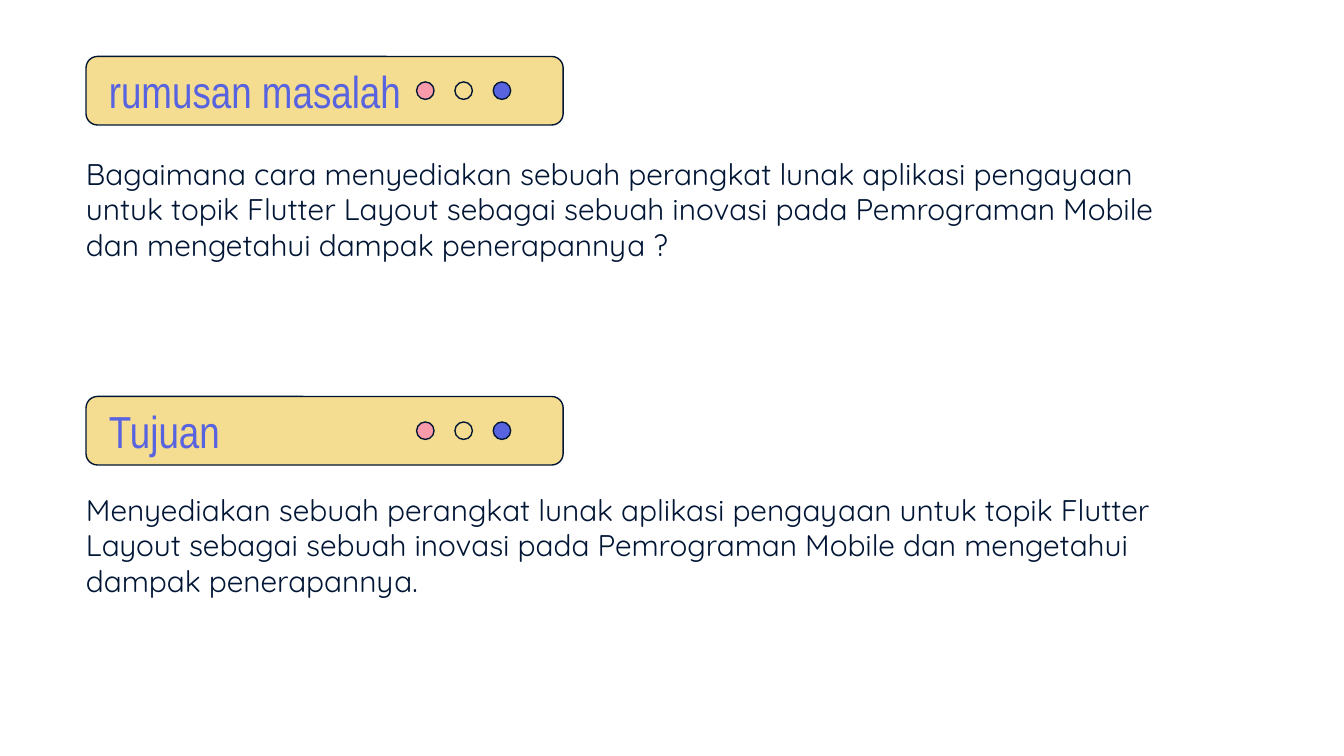
import pptx
import pptx.util
import pptx.dml.color
import pptx.enum.shapes
import pptx.enum.text

COLORS = {
    "ink": "011635",
    "yellow": "F4DC90",
    "blue": "5863E0",
    "pink": "F99AAA",
}
SECTIONS = [
    ("rumusan masalah",
     "Bagaimana cara menyediakan sebuah perangkat lunak aplikasi pengayaan "
     "untuk topik Flutter Layout sebagai sebuah inovasi pada Pemrograman Mobile "
     "dan mengetahui dampak penerapannya ?",
     0.42, 1.07),
    ("Tujuan",
     "Menyediakan sebuah perangkat lunak aplikasi pengayaan untuk topik Flutter "
     "Layout sebagai sebuah inovasi pada Pemrograman Mobile dan mengetahui "
     "dampak penerapannya.",
     2.95, 3.57),
]
DOT_COLORS = ["pink", "yellow", "blue"]

SLIDE_WIDTH = 10
SLIDE_HEIGHT = SLIDE_WIDTH * 9 / 16
MARGIN = 0.64
BANNER_WIDTH, BANNER_HEIGHT = 3.55, 0.51
TITLE_LEFT, TITLE_WIDTH, TITLE_HEIGHT = 0.81, 2.99, 0.44
BODY_WIDTH, BODY_HEIGHT = 8.37, 0.97
DOT_SIZE, FIRST_DOT_LEFT, LAST_DOT_LEFT = 0.13, 3.1, 3.67
DOT_PITCH = (LAST_DOT_LEFT - FIRST_DOT_LEFT) / (len(DOT_COLORS) - 1)

SHAPE = pptx.enum.shapes.MSO_SHAPE
inches = pptx.util.Inches


def color(name):
    return pptx.dml.color.RGBColor.from_string(COLORS[name])


def add_outlined(slide, kind, left, top, width, height, fill):
    shape = slide.shapes.add_shape(
        kind, inches(left), inches(top), inches(width), inches(height))
    shape.shadow.inherit = False
    shape.fill.solid()
    shape.fill.fore_color.rgb = color(fill)
    shape.line.color.rgb = color("ink")
    shape.line.width = pptx.util.Pt(0.75)


def add_text(slide, text, left, top, width, height, font_name, size, ink):
    box = slide.shapes.add_textbox(
        inches(left), inches(top), inches(width), inches(height))
    frame = box.text_frame
    frame.text = text
    frame.word_wrap = True
    frame.vertical_anchor = pptx.enum.text.MSO_ANCHOR.MIDDLE
    frame.margin_left = frame.margin_right = 0
    frame.margin_top = frame.margin_bottom = 0
    font = frame.paragraphs[0].runs[0].font
    font.name = font_name
    font.size = pptx.util.Pt(size)
    font.color.rgb = color(ink)


def add_section(slide, title, body, banner_top, body_top):
    add_outlined(slide, SHAPE.ROUNDED_RECTANGLE, MARGIN, banner_top,
                 BANNER_WIDTH, BANNER_HEIGHT, "yellow")
    title_top = banner_top + (BANNER_HEIGHT - TITLE_HEIGHT) / 2
    add_text(slide, title, TITLE_LEFT, title_top, TITLE_WIDTH, TITLE_HEIGHT,
             "Arial Narrow", 24, "blue")
    dot_top = banner_top + (BANNER_HEIGHT - DOT_SIZE) / 2
    for column, fill in enumerate(DOT_COLORS):
        add_outlined(slide, SHAPE.OVAL, FIRST_DOT_LEFT + column * DOT_PITCH,
                     dot_top, DOT_SIZE, DOT_SIZE, fill)
    add_text(slide, body, MARGIN, body_top, BODY_WIDTH, BODY_HEIGHT,
             "Quicksand", 16, "ink")


def main():
    presentation = pptx.Presentation()
    presentation.slide_width = inches(SLIDE_WIDTH)
    presentation.slide_height = inches(SLIDE_HEIGHT)
    slide = presentation.slides.add_slide(presentation.slide_layouts[6])
    for section in SECTIONS:
        add_section(slide, *section)
    presentation.save("out.pptx")


if __name__ == "__main__":
    main()
